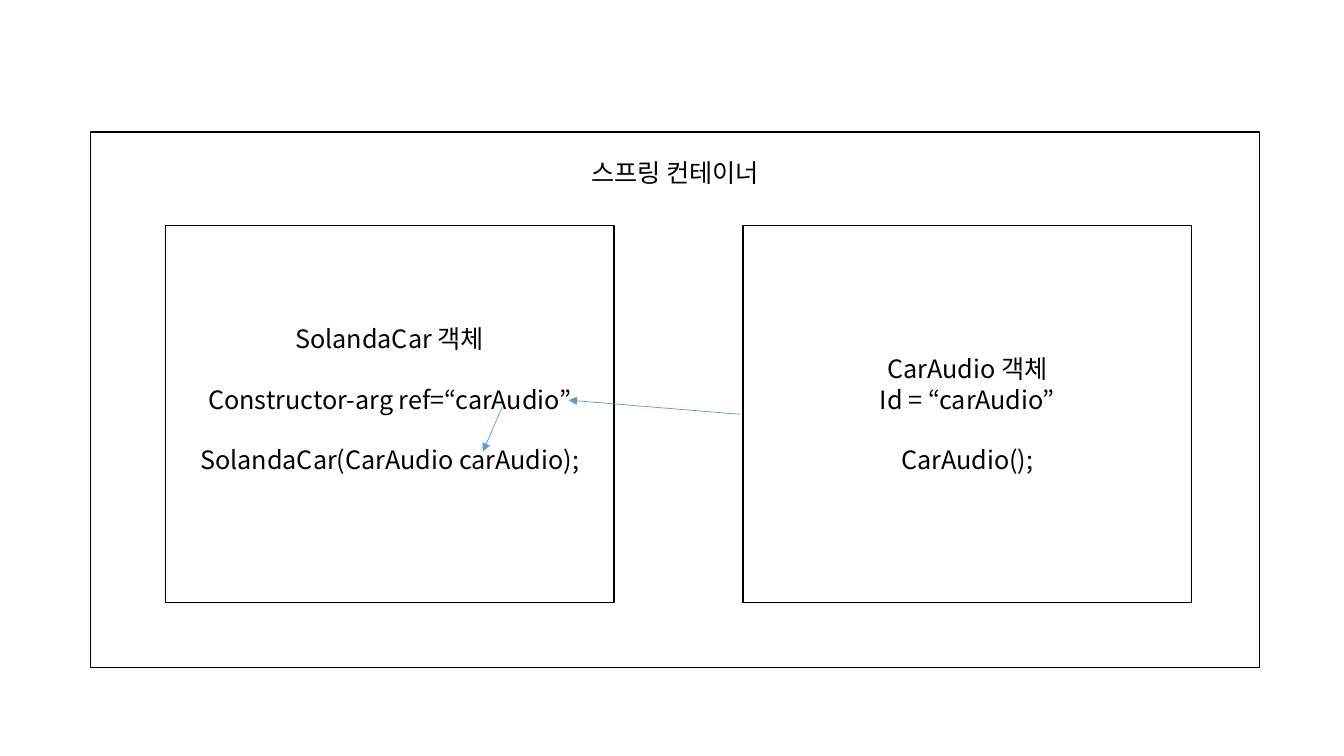
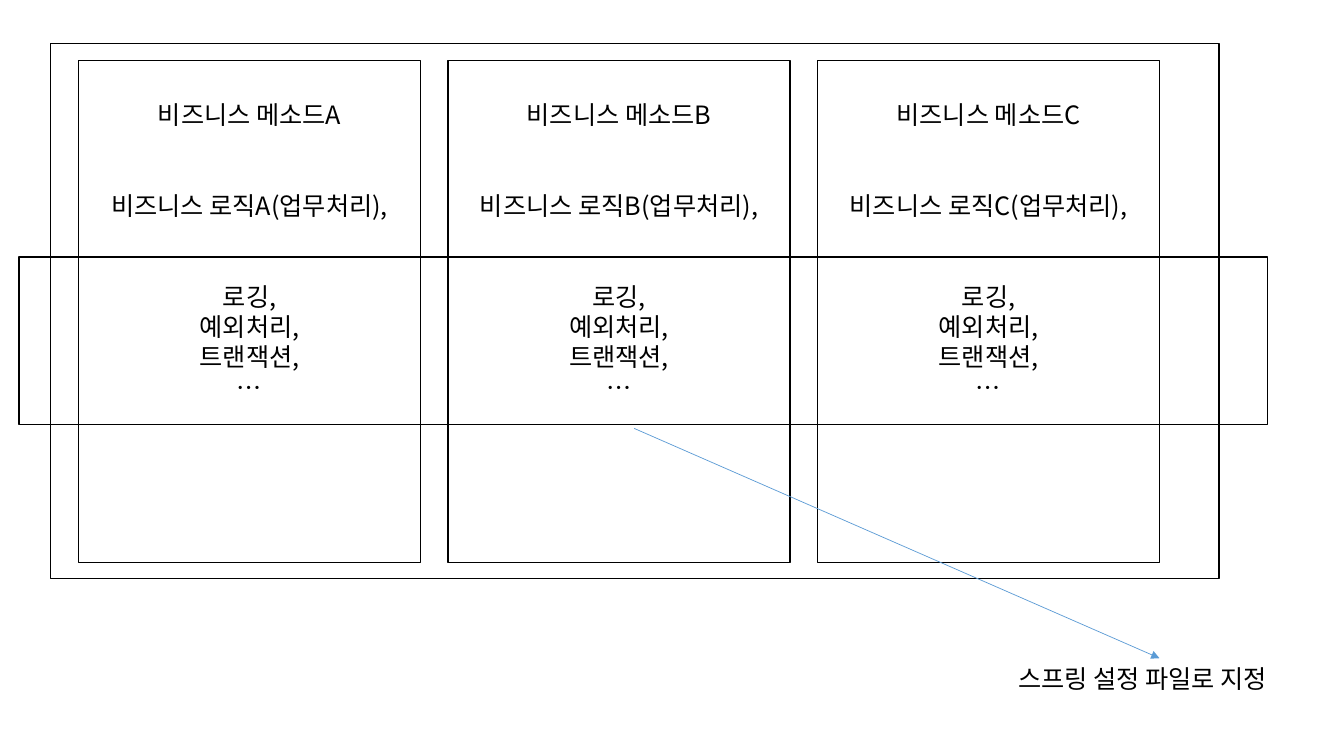
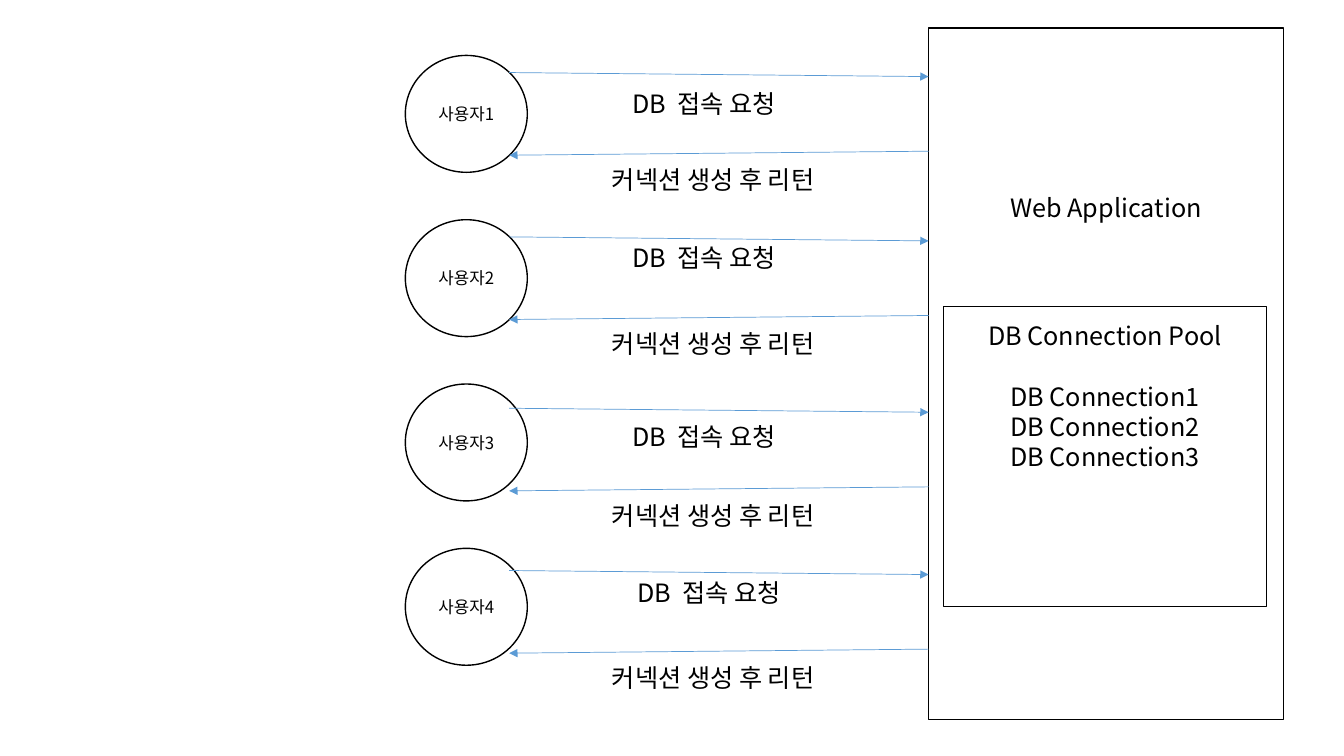
"""Build three Spring diagrams: constructor injection, AOP and a connection pool."""
from pptx import Presentation
from pptx.dml.color import RGBColor
from pptx.enum.shapes import MSO_CONNECTOR, MSO_SHAPE
from pptx.enum.text import MSO_ANCHOR, PP_ALIGN
from pptx.oxml.ns import qn
from pptx.oxml.xmlchemy import OxmlElement
from pptx.util import Inches, Pt

RECTANGLE, ELLIPSE = MSO_SHAPE.RECTANGLE, MSO_SHAPE.OVAL
STRAIGHT = MSO_CONNECTOR.STRAIGHT
MIDDLE, TOP = MSO_ANCHOR.MIDDLE, MSO_ANCHOR.TOP
CENTER, LEFT = PP_ALIGN.CENTER, PP_ALIGN.LEFT
BLACK = RGBColor(0x00, 0x00, 0x00)
BLUE = RGBColor(0x5B, 0x9B, 0xD5)
FONT = "Noto Sans CJK KR"
BODY_SIZE, USER_SIZE = 18, 12
LINE_FACTOR = 1.2
LINE_HEIGHT = BODY_SIZE * LINE_FACTOR / 72
INSET = 0.05

# Each line is (text, line heights of space above it).
CONTAINER = [("스프링 컨테이너", 0)]
CAR_OBJECT = [
    ("SolandaCar 객체", 0),
    ("Constructor-arg ref=“carAudio”", 1),
    ("SolandaCar(CarAudio carAudio);", 1),
]
AUDIO_OBJECT = [("CarAudio 객체", 0), ("Id = “carAudio”", 0), ("CarAudio();", 1)]
INJECTION_ARROWS = [((7.34, 4.11), (5.64, 3.97)), ((4.98, 4.04), (4.79, 4.48))]

METHODS = "ABC"
SHARED_CONCERNS = [("로깅,", 2), ("예외처리,", 0), ("트랜잭션,", 0), ("…", 0)]
CONFIG_NOTE = "스프링 설정 파일로 지정"

WEB_APPLICATION = [("Web Application", 0)]
POOL = [
    ("DB Connection Pool", 0),
    ("DB Connection1", 1),
    ("DB Connection2", 0),
    ("DB Connection3", 0),
]
REQUEST, REPLY = "DB  접속 요청", "커넥션 생성 후 리턴"
# Each user has (request arrow top, request label left, request label top).
EXCHANGES = [(0.72, 6.17, 0.83), (2.35, 6.17, 2.35), (4.05, 6.17, 4.13), (5.66, 6.22, 5.68)]


def write_lines(frame, lines, size, align):
    """Fill a text frame with styled lines, spacing them by line heights."""
    frame.word_wrap = True
    for index, (text, gap) in enumerate(lines):
        para = frame.add_paragraph() if index else frame.paragraphs[0]
        para.alignment = align
        para.line_spacing = Pt(size * LINE_FACTOR)
        para.space_before = Pt(gap * size * LINE_FACTOR)
        span = para.add_run()
        span.text = text
        span.font.size = Pt(size)
        span.font.color.rgb = BLACK
        span.font.name = FONT
        east_asian = OxmlElement("a:ea")
        east_asian.set("typeface", FONT)
        span.font._element.append(east_asian)


def add_box(page, place, lines=(), room_below=0, kind=RECTANGLE, size=BODY_SIZE):
    """Add an outlined shape, its text lifted by the line heights left below."""
    box = page.shapes.add_shape(kind, *map(Inches, place))
    box.shadow.inherit = False
    box.fill.background()
    box.line.color.rgb = BLACK
    box.line.width = Pt(1)
    frame = box.text_frame
    frame.vertical_anchor = MIDDLE
    frame.margin_bottom = Inches(INSET + room_below * LINE_HEIGHT)
    write_lines(frame, lines, size, CENTER)


def add_label(page, left, top, width, text):
    """Add a single-line label."""
    label = page.shapes.add_textbox(*map(Inches, (left, top, width, 0.4)))
    label.text_frame.vertical_anchor = TOP
    write_lines(label.text_frame, [(text, 0)], BODY_SIZE, LEFT)


def add_arrow(page, start, end):
    """Add a thin blue arrow between two points."""
    arrow = page.shapes.add_connector(STRAIGHT, *map(Inches, (*start, *end)))
    arrow.line.color.rgb = BLUE
    arrow.line.width = Pt(0.5)
    properties = arrow.element.spPr
    tip = OxmlElement("a:tailEnd")
    tip.set("type", "triangle")
    properties.find(qn("a:ln")).append(tip)
    properties.append(OxmlElement("a:effectLst"))


def build_injection(page):
    """Show one object passed to the constructor of another."""
    add_box(page, (0.9, 1.31, 11.59, 5.31), CONTAINER, room_below=15)
    add_box(page, (1.64, 2.24, 4.45, 3.74), CAR_OBJECT, room_below=1)
    add_box(page, (7.37, 2.24, 4.45, 3.74), AUDIO_OBJECT)
    for start, end in INJECTION_ARROWS:
        add_arrow(page, start, end)


def build_aspects(page):
    """Show the concerns that cut across the business methods."""
    add_box(page, (0.5, 0.43, 11.59, 5.31))
    for index, name in enumerate(METHODS):
        lines = [(f"비즈니스 메소드{name}", 0), (f"비즈니스 로직{name}(업무처리),", 2)]
        left = 0.78 + index * 3.665
        add_box(page, (left, 0.6, 3.39, 4.98), lines + SHARED_CONCERNS, room_below=4)
    add_box(page, (0.19, 2.55, 12.38, 1.66))
    add_label(page, 10, 6.53, 2.99, CONFIG_NOTE)
    add_arrow(page, (6.29, 4.25), (11.5, 6.53))


def build_pool(page):
    """Show users asking the web application for connections."""
    user_edge, application_edge = 5.05, 9.21
    add_box(page, (application_edge, 0.28, 3.52, 6.86), WEB_APPLICATION, room_below=11)
    for index, (top, label_left, label_top) in enumerate(EXCHANGES):
        user = [(f"사용자{index + 1}", 0)]
        place = (4.02, 0.55 + index * 1.63, 1.21, 1.16)
        add_box(page, place, user, kind=ELLIPSE, size=USER_SIZE)
        add_arrow(page, (user_edge, top), (application_edge, top + 0.04))
        add_arrow(page, (application_edge, top + 0.78), (user_edge, top + 0.82))
        add_label(page, label_left, label_top, 1.81, REQUEST)
        add_label(page, 5.97, top + 0.86, 2.49, REPLY)
    add_box(page, (9.36, 3.04, 3.2, 2.98), POOL, room_below=4)


deck = Presentation()
deck.slide_width, deck.slide_height = Inches(13.33), Inches(7.5)
blank_layout = deck.slide_layouts[6]
for build in (build_injection, build_aspects, build_pool):
    build(deck.slides.add_slide(blank_layout))
deck.save("out.pptx")
